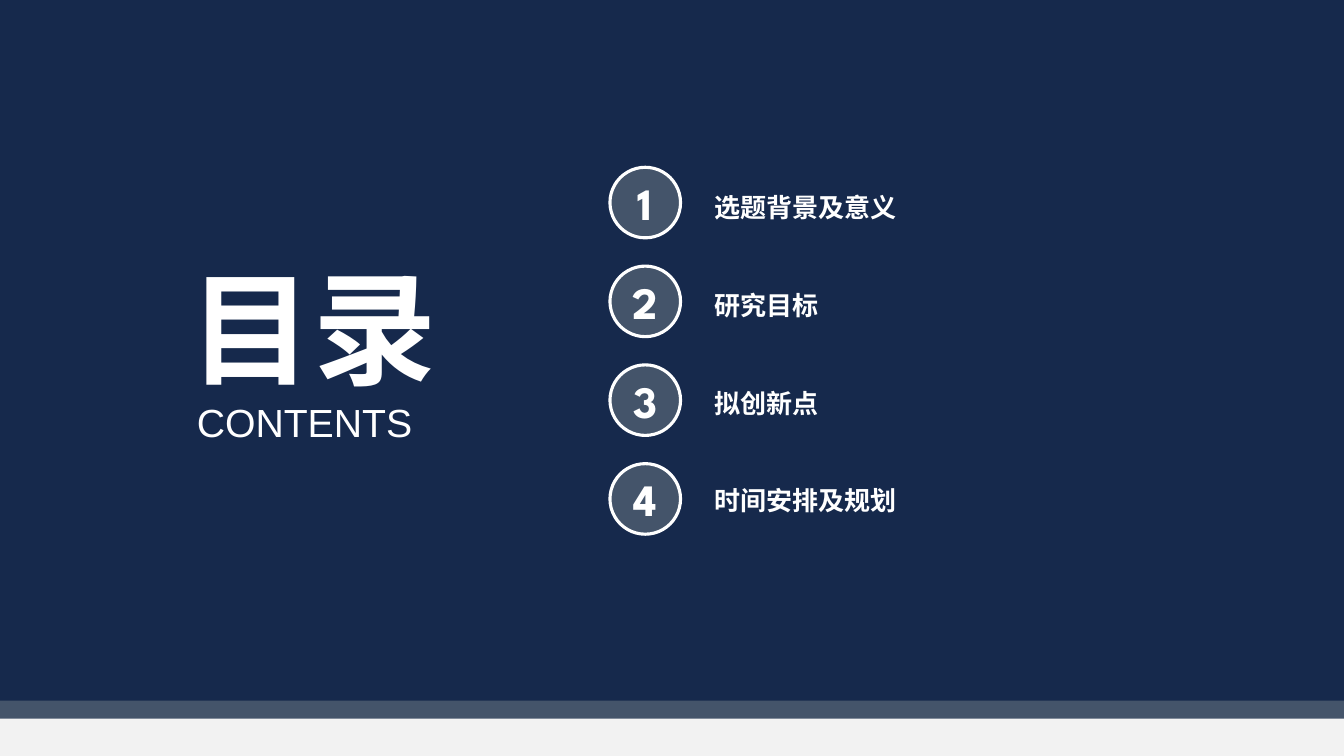
from lxml.etree import SubElement
from pptx import Presentation
from pptx.dml.color import RGBColor
from pptx.enum.shapes import MSO_SHAPE
from pptx.enum.text import MSO_ANCHOR, MSO_AUTO_SIZE, PP_ALIGN
from pptx.oxml.ns import qn
from pptx.util import Inches, Pt

NAVY = RGBColor(0x16, 0x29, 0x4C)
SLATE = RGBColor(0x44, 0x54, 0x6A)
PALE = RGBColor(0xF2, 0xF2, 0xF2)
WHITE = RGBColor(0xFF, 0xFF, 0xFF)

CHINESE_FONT = "Noto Sans CJK SC"
HEADING = {"name": CHINESE_FONT, "size": Pt(88), "bold": True}
SUBHEADING = {"name": "Arial", "size": Pt(28), "bold": False}
TOPIC = {"name": "Arial", "size": Pt(18.6), "bold": True}
NUMBER = {"name": "League Spartan", "size": Pt(32), "bold": True}

WIDTH, HEIGHT = 13.33, 7.5
TOPICS = ["选题背景及意义", "研究目标", "拟创新点", "时间安排及规划"]
BADGE_TOP, BADGE_PITCH, BADGE_SIZE = 1.66, 0.98, 0.7
TOPIC_TOP, TOPIC_PITCH = 1.85, 0.97
CHARACTER_WIDTH, SIDE_INSETS = 0.26, 0.2


class ContentsSlide:
    """Draws the elements of the slide in one shared style."""

    def __init__(self, deck):
        self.slide = deck.slides.add_slide(deck.slide_layouts[5])
        self.shapes = self.slide.shapes

    def put_text(self, shape, text, style, align):
        paragraph = shape.text_frame.paragraphs[0]
        paragraph.alignment = align
        run = paragraph.add_run()
        run.text = text
        for attribute, value in style.items():
            setattr(run.font, attribute, value)
        run.font.color.rgb = WHITE
        # Chinese characters take their font from a:ea
        for properties in shape.element.iter(qn("a:rPr")):
            SubElement(properties, qn("a:ea")).set("typeface", CHINESE_FONT)

    def fit(self, frame):
        layout = {"word_wrap": False, "vertical_anchor": MSO_ANCHOR.TOP,
                  "auto_size": MSO_AUTO_SIZE.SHAPE_TO_FIT_TEXT}
        for attribute, value in layout.items():
            setattr(frame, attribute, value)

    def filled(self, kind, left, top, width, height, color):
        shape = self.shapes.add_shape(
            kind, Inches(left), Inches(top), Inches(width), Inches(height))
        shape.shadow.inherit = False
        shape.fill.solid()
        shape.fill.fore_color.rgb = color
        return shape

    def band(self, top, height, color):
        band = self.filled(MSO_SHAPE.RECTANGLE, 0, top, WIDTH, height, color)
        band.line.fill.background()

    def badge(self, left, top, number):
        badge = self.filled(MSO_SHAPE.OVAL, left, top, BADGE_SIZE, BADGE_SIZE, SLATE)
        badge.line.color.rgb = WHITE
        badge.line.width = Pt(2.25)
        badge.text_frame.vertical_anchor = MSO_ANCHOR.MIDDLE
        self.put_text(badge, str(number), NUMBER, PP_ALIGN.CENTER)

    def label(self, left, top, width, height, text, style, align=PP_ALIGN.LEFT):
        label = self.shapes.add_textbox(
            Inches(left), Inches(top), Inches(width), Inches(height))
        self.fit(label.text_frame)
        self.put_text(label, text, style, align)

    def title(self, left, top, width, height, text):
        title = self.shapes.title
        place = {"left": left, "top": top, "width": width, "height": height}
        for attribute, value in place.items():
            setattr(title, attribute, Inches(value))
        self.fit(title.text_frame)
        self.put_text(title, text, HEADING, PP_ALIGN.CENTER)
        # Bring the title in front of the background bands
        title.element.getparent().append(title.element)


def main():
    deck = Presentation()
    deck.slide_width, deck.slide_height = Inches(WIDTH), Inches(HEIGHT)
    contents = ContentsSlide(deck)

    # Background and footer bands
    contents.band(0, HEIGHT, NAVY)
    contents.band(6.95, 0.55, SLATE)
    contents.band(7.13, 0.41, PALE)

    # Heading
    contents.title(1.77, 2.45, 2.67, 1.58, "目录")
    contents.label(1.84, 3.9, 2.36, 0.57, "CONTENTS", SUBHEADING, PP_ALIGN.CENTER)

    # Numbered topics
    for row, topic in enumerate(TOPICS):
        contents.badge(6.05, BADGE_TOP + row * BADGE_PITCH, row + 1)
        topic_width = SIDE_INSETS + CHARACTER_WIDTH * len(topic)
        contents.label(6.99, TOPIC_TOP + row * TOPIC_PITCH, topic_width, 0.41,
                       topic, TOPIC)

    deck.save("out.pptx")


if __name__ == "__main__":
    main()
